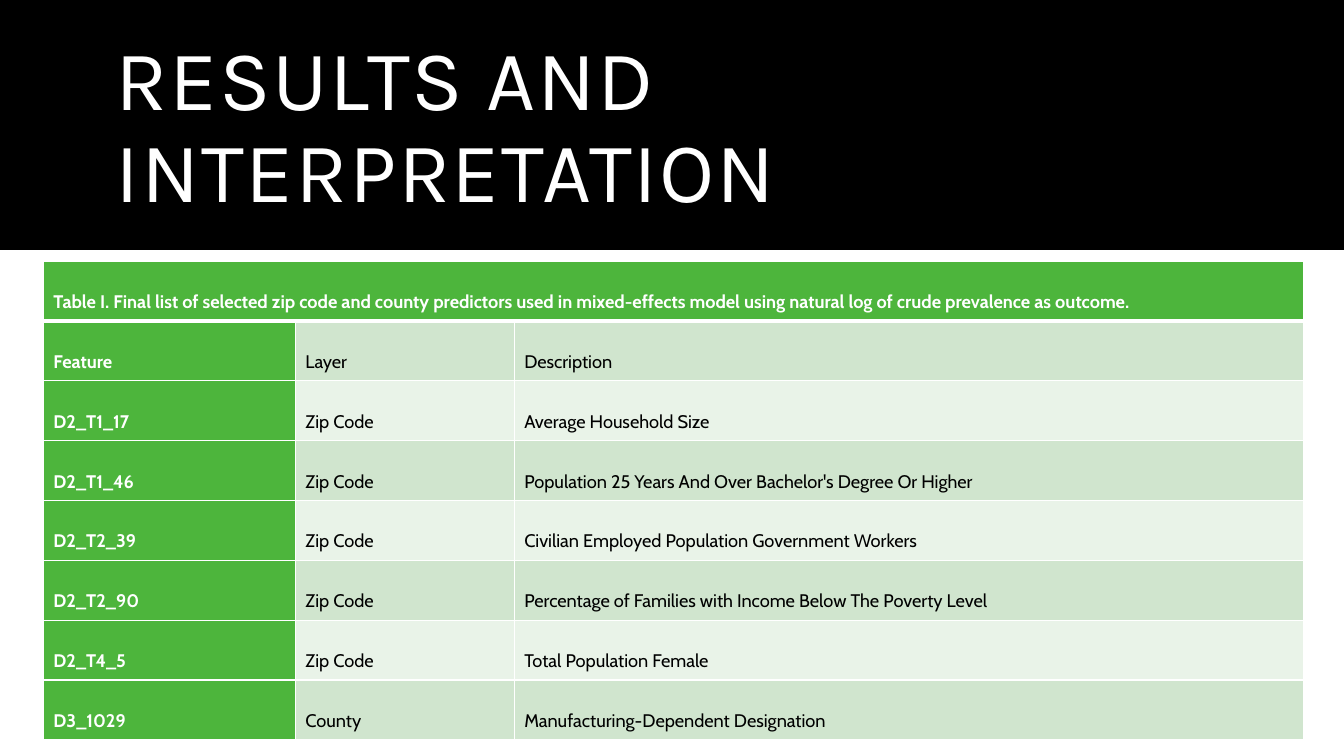
import pptx
import pptx.util
import pptx.dml.color
import pptx.enum.shapes
import pptx.enum.text
import pptx.oxml
import pptx.oxml.ns

Inches, Pt = pptx.util.Inches, pptx.util.Pt
MIDDLE = pptx.enum.text.MSO_ANCHOR.MIDDLE
HUES = {"white": "FFFFFF", "black": "000000", "green": "4DB53C",
        "dark": "D0E5CE", "light": "E9F3E8"}
CAPTION = ("Table I. Final list of selected zip code and county predictors used in "
           "mixed-effects model using natural log of crude prevalence as outcome.")
ROWS = [
    ("Feature", "Layer", "Description"),
    ("D2_T1_17", "Zip Code", "Average Household Size"),
    ("D2_T1_46", "Zip Code", "Population 25 Years And Over Bachelor's Degree Or Higher"),
    ("D2_T2_39", "Zip Code", "Civilian Employed Population Government Workers"),
    ("D2_T2_90", "Zip Code", "Percentage of Families with Income Below The Poverty Level"),
    ("D2_T4_5", "Zip Code", "Total Population Female"),
    ("D3_1029", "County", "Manufacturing-Dependent Designation"),
]
WIDTHS = (2.5, 2.17, 7.83)


def color(name):
    return pptx.dml.color.RGBColor.from_string(HUES[name])


def write(para, text, font, size, hue, bold=False):
    run = para.add_run()
    run.text = text
    run.font.name, run.font.size, run.font.bold = font, Pt(size), bold
    run.font.color.rgb = color(hue)
    return run


def panel(slide, box, hue):
    """Draw a plain filled rectangle."""
    kind = pptx.enum.shapes.MSO_SHAPE.RECTANGLE
    shape = slide.shapes.add_shape(kind, *map(Inches, box))
    shape.shadow.inherit = False
    shape.fill.solid()
    shape.fill.fore_color.rgb = color(hue)
    shape.line.fill.background()


def header(slide, box):
    """Fill the band and set the title inside it."""
    left, top, width, height = box
    panel(slide, box, "black")
    title = slide.shapes.title
    title.left, title.top = Inches(left + 1.05), Inches(top + 0.35)
    title.width, title.height = Inches(width - 2.1), Inches(height - 0.62)
    slide.shapes._spTree.append(title._element)
    frame = title.text_frame
    frame.word_wrap = True
    frame.auto_size = pptx.enum.text.MSO_AUTO_SIZE.NONE
    frame.vertical_anchor = MIDDLE
    para = frame.paragraphs[0]
    para.alignment = pptx.enum.text.PP_ALIGN.LEFT
    para.line_spacing = 0.9
    run = write(para, "RESULTS AND INTERPRETATION", "Karla", 61, "white")
    run.font._element.set("spc", "120")


def border(cell, base):
    """Rule all four sides in white, the bottom one base points wide."""
    props = cell._tc.get_or_add_tcPr()
    sides = {"lnL": 1, "lnR": 1, "lnT": 1, "lnB": base}
    for spot, (side, size) in enumerate(sides.items()):
        props.insert(spot, pptx.oxml.parse_xml(
            f'<a:{side} {pptx.oxml.ns.nsdecls("a")} w="{Pt(size)}"><a:solidFill>'
            f'<a:srgbClr val="{HUES["white"]}"/></a:solidFill></a:{side}>'))


def fill(cell, text, back, hue, bold, base=1):
    cell.fill.solid()
    cell.fill.fore_color.rgb = color(back)
    border(cell, base)
    cell.vertical_anchor = MIDDLE
    cell.margin_left = cell.margin_right = Inches(0.1)
    cell.margin_top = cell.margin_bottom = 0
    para = cell.text_frame.paragraphs[0]
    para.line_spacing = 2.0
    if text:
        write(para, text, "Cabin", 13, hue, bold)


def grid(slide, box):
    """Place the caption row and the predictor rows."""
    count = len(ROWS) + 1
    table = slide.shapes.add_table(count, len(WIDTHS), *map(Inches, box)).table
    for col, width in zip(table.columns, WIDTHS):
        col.width = Inches(width)
    for row in table.rows:
        row.height = Inches(box[3] / count)
    table.cell(0, 0).merge(table.cell(0, len(WIDTHS) - 1))
    for col in range(len(WIDTHS)):
        fill(table.cell(0, col), "" if col else CAPTION, "green", "white", True, 3)
    for row, texts in enumerate(ROWS, 1):
        band = "dark" if row % 2 else "light"
        for col, text in enumerate(texts):
            look = (band, "black", False) if col else ("green", "white", True)
            fill(table.cell(row, col), text, *look)


def main():
    deck = pptx.Presentation()
    deck.slide_width, deck.slide_height = Inches(13.33), Inches(7.5)
    slide = deck.slides.add_slide(deck.slide_layouts[5])
    panel(slide, (0, 0, 13.33, 7.5), "white")
    header(slide, (0, 0, 13.33, 2.48))
    grid(slide, (0.43, 2.59, 12.5, 4.75))
    deck.save("out.pptx")


if __name__ == "__main__":
    main()
